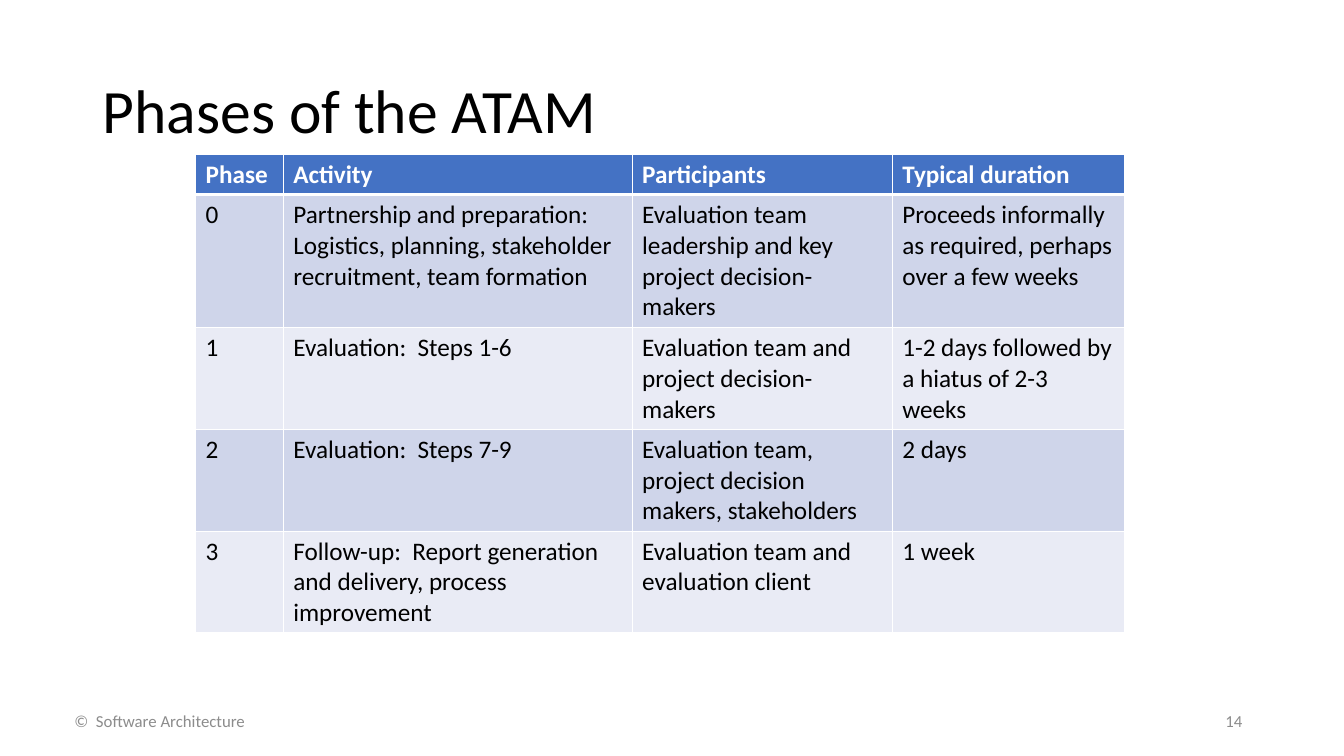
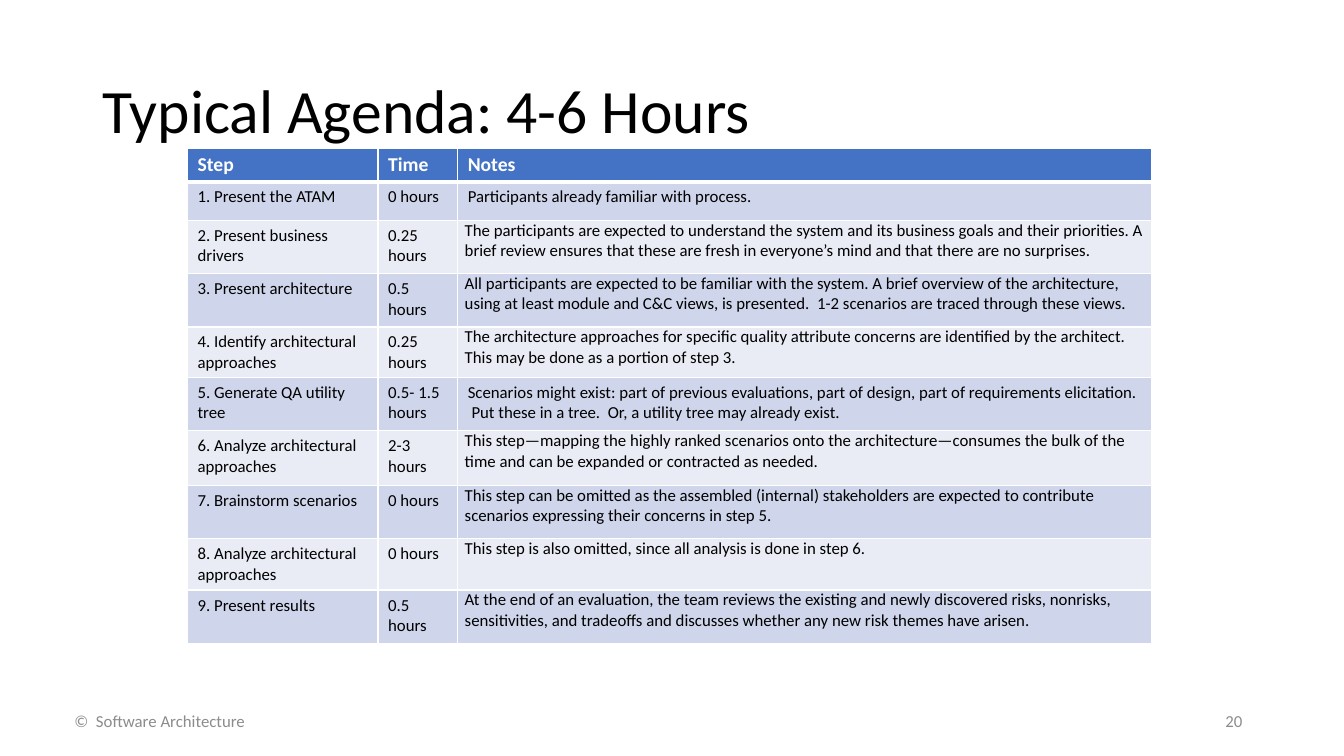
import pptx
import pptx.dml.color
import pptx.enum.text
import pptx.util
import lxml.etree
from pptx.oxml.ns import qn

Inches, Pt = pptx.util.Inches, pptx.util.Pt
ALIGN = pptx.enum.text.PP_ALIGN

# Shared look
FONT = "Calibri"
BLACK, WHITE, GREY = "000000", "FFFFFF", "8C8C8C"
HEADER_FILL = "4472C4"
BAND_FILLS = ["E9EBF5", "CFD5EA"]
FOOTER_TOP, FOOTER_HEIGHT = 6.95, 0.4

presentation = pptx.Presentation()
presentation.slide_width = Inches(13.33)
presentation.slide_height = Inches(7.5)
blank_layout = presentation.slide_layouts[6]


def color(hex_string):
    return pptx.dml.color.RGBColor.from_string(hex_string)


def write(frame, text, size, font_color, bold=False, align=ALIGN.LEFT):
    frame.word_wrap = True
    paragraph = frame.paragraphs[0]
    paragraph.alignment = align
    run = paragraph.add_run()
    run.text = text
    run.font.name = FONT
    run.font.size = Pt(size)
    run.font.bold = bold
    run.font.color.rgb = color(font_color)
    return paragraph


# Contents: the first row of each table is its header
slides = [
    dict(
        title="Phases of the ATAM", number="14",
        left=1.94, top=1.53, header_size=18, body_size=18,
        columns=[0.87, 3.46, 2.58, 2.3],
        heights=[0.4, 1.32, 1.01, 1.01, 1.01],
        compact_rows=[],
        rows=[
            ["Phase", "Activity", "Participants", "Typical duration"],
            ["0", "Partnership and preparation:  Logistics, planning, stakeholder "
             "recruitment, team formation",
             "Evaluation team leadership and key project decision-makers",
             "Proceeds informally as required, perhaps over a few weeks"],
            ["1", "Evaluation:  Steps 1-6",
             "Evaluation team and project decision-makers",
             "1-2 days followed by a hiatus of 2-3 weeks"],
            ["2", "Evaluation:  Steps 7-9",
             "Evaluation team, project decision makers, stakeholders", "2 days"],
            ["3", "Follow-up:  Report generation and delivery, process improvement",
             "Evaluation team and evaluation client", "1 week"],
        ],
    ),
    dict(
        title="Typical Agenda: 4-6 Hours", number="20",
        left=1.86, top=1.47, header_size=14, body_size=12,
        columns=[1.89, 0.79, 6.88],
        heights=[0.33, 0.38, 0.53, 0.53, 0.5, 0.53, 0.54, 0.53, 0.51, 0.53],
        compact_rows=[2, 3, 4, 6, 7, 8, 9],
        rows=[
            ["Step", "Time", "Notes"],
            ["1. Present the ATAM", "0 hours",
             "Participants already familiar with process."],
            ["2. Present business drivers", "0.25 hours",
             "The participants are expected to understand the system and its business "
             "goals and their priorities. A brief review ensures that these are fresh "
             "in everyone’s mind and that there are no surprises."],
            ["3. Present architecture", "0.5 hours",
             "All participants are expected to be familiar with the system. A brief "
             "overview of the architecture, using at least module and C&C views, is "
             "presented.  1-2 scenarios are traced through these views."],
            ["4. Identify architectural approaches", "0.25 hours",
             "The architecture approaches for specific quality attribute concerns are "
             "identified by the architect. This may be done as a portion of step 3."],
            ["5. Generate QA utility tree", "0.5- 1.5 hours",
             "Scenarios might exist: part of previous evaluations, part of design, part "
             "of requirements elicitation.  Put these in a tree.  Or, a utility tree "
             "may already exist."],
            ["6. Analyze architectural approaches", "2-3 hours",
             "This step—mapping the highly ranked scenarios onto the "
             "architecture—consumes the bulk of the time and can be expanded or "
             "contracted as needed."],
            ["7. Brainstorm scenarios", "0 hours",
             "This step can be omitted as the assembled (internal) stakeholders are "
             "expected to contribute scenarios expressing their concerns in step 5."],
            ["8. Analyze architectural approaches", "0 hours",
             "This step is also omitted, since all analysis is done in step 6."],
            ["9. Present results", "0.5 hours",
             "At the end of an evaluation, the team reviews the existing and newly "
             "discovered risks, nonrisks, sensitivities, and tradeoffs and discusses "
             "whether any new risk themes have arisen."],
        ],
    ),
]

for content in slides:
    slide = presentation.slides.add_slide(blank_layout)

    # Title, slide number and footer
    for text, box, size, font_color, align in [
        (content["title"], (0.92, 0.4, 11.5, 1.45), 44, BLACK, ALIGN.LEFT),
        (content["number"], (9.42, FOOTER_TOP, 3, FOOTER_HEIGHT), 12, GREY, ALIGN.RIGHT),
        ("©  Software Architecture", (0, FOOTER_TOP, 3.17, FOOTER_HEIGHT), 12, GREY,
         ALIGN.CENTER),
    ]:
        frame = slide.shapes.add_textbox(*map(Inches, box)).text_frame
        frame.vertical_anchor = pptx.enum.text.MSO_ANCHOR.MIDDLE
        paragraph = write(frame, text, size, font_color, align=align)
        if text == content["title"]:
            paragraph.line_spacing = 0.9

    # Table grid
    rows, columns, heights = content["rows"], content["columns"], content["heights"]
    table = slide.shapes.add_table(
        len(rows), len(columns), Inches(content["left"]), Inches(content["top"]),
        Inches(sum(columns)), Inches(sum(heights))).table
    table.horz_banding = False
    for column, width in zip(table.columns, columns):
        column.width = Inches(width)
    for row, height in zip(table.rows, heights):
        row.height = Inches(height)

    # Cells
    for row_index, row_texts in enumerate(rows):
        header = row_index == 0
        for column_index, text in enumerate(row_texts):
            cell = table.cell(row_index, column_index)
            cell.fill.solid()
            cell.fill.fore_color.rgb = color(
                HEADER_FILL if header else BAND_FILLS[row_index % 2])
            paragraph = write(
                cell.text_frame, text,
                content["header_size"] if header else content["body_size"],
                WHITE if header else BLACK, bold=header)
            if row_index in content["compact_rows"] and column_index == len(columns) - 1:
                cell.margin_left = cell.margin_right = Inches(0.07)
                cell.margin_top = cell.margin_bottom = 0
                paragraph.space_after = Pt(4)

            # White borders, thicker below the header
            properties = cell._tc.get_or_add_tcPr()
            for position, side in enumerate(["lnL", "lnR", "lnT", "lnB"]):
                thick = (row_index, side) in [(0, "lnB"), (1, "lnT")]
                border = lxml.etree.Element(qn("a:" + side), w=str(Pt(3 if thick else 1)))
                fill = lxml.etree.SubElement(border, qn("a:solidFill"))
                lxml.etree.SubElement(fill, qn("a:srgbClr"), val=WHITE)
                properties.insert(position, border)

presentation.save("out.pptx")
